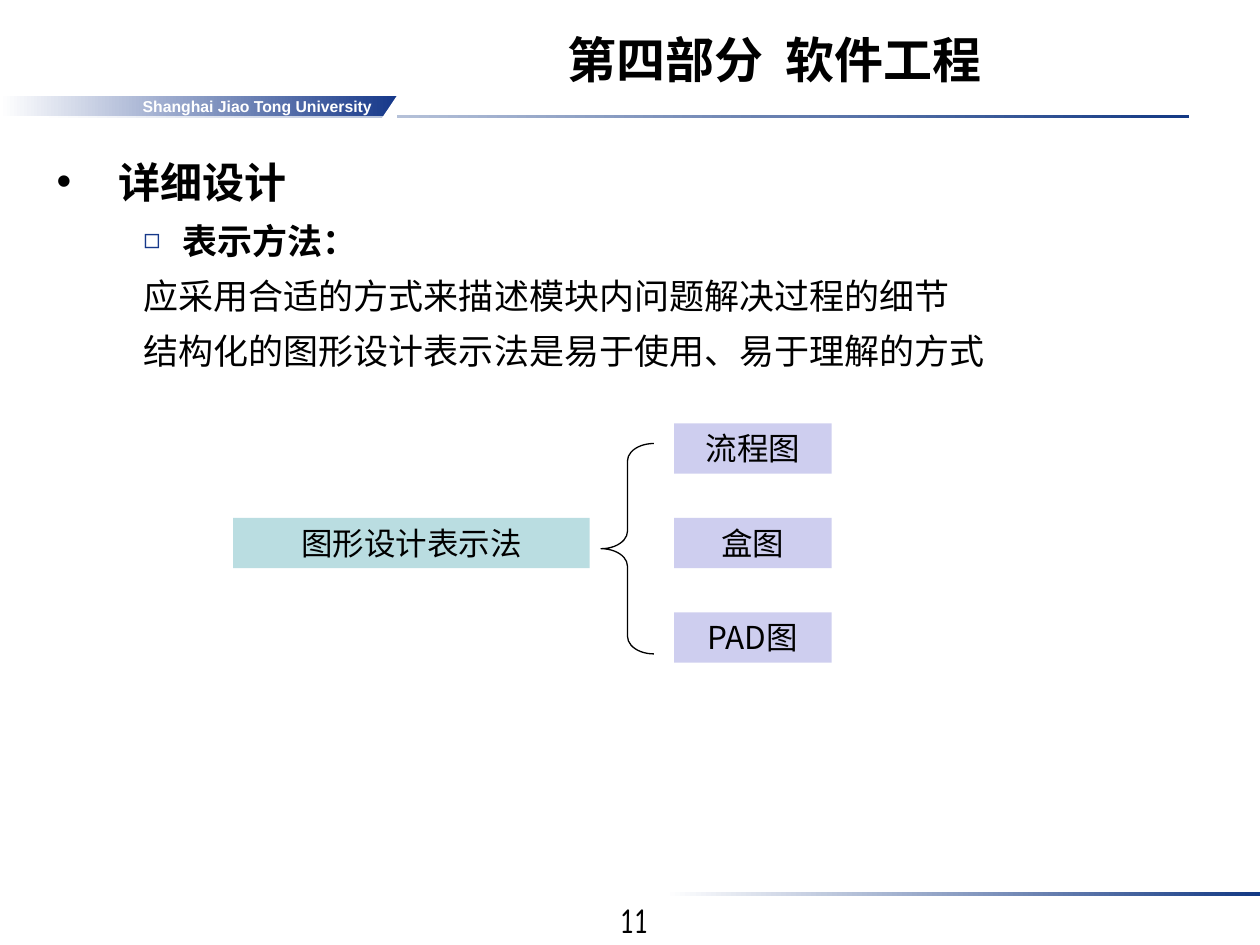
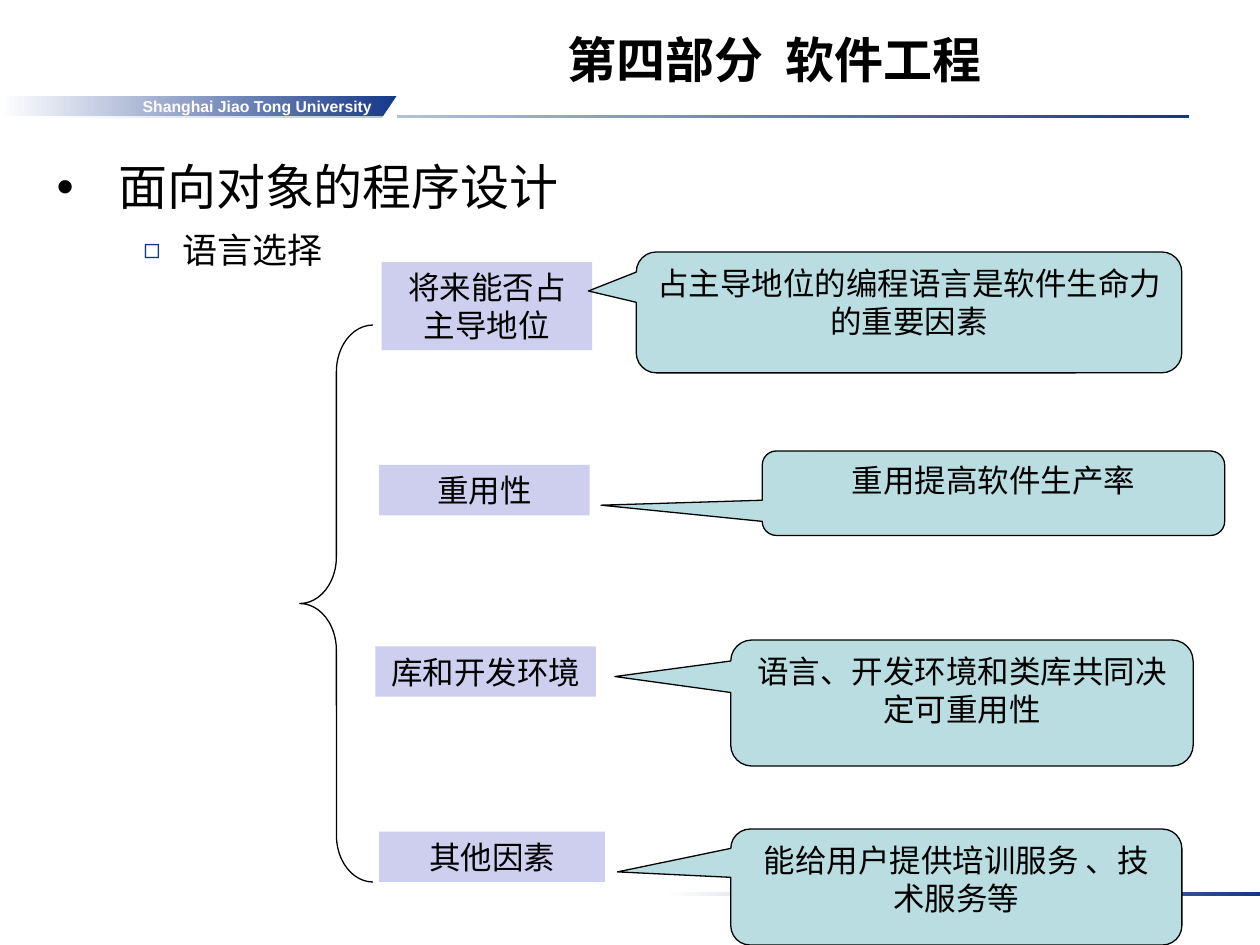
import pptx
import pptx.util
import pptx.dml.color
import pptx.enum.shapes
import pptx.enum.text
import pptx.oxml
import pptx.oxml.ns
from dataclasses import dataclass

SHAPE = pptx.enum.shapes.MSO_SHAPE
ALIGN = pptx.enum.text.PP_ALIGN
ANCHOR = pptx.enum.text.MSO_ANCHOR
Pt = pptx.util.Pt


@dataclass(frozen=True)
class Theme:
    cjk: str = "Noto Sans CJK SC"
    latin: str = "Arial"
    number: str = "Comic Neue"
    ink: str = "000000"
    paper: str = "FFFFFF"
    rule: str = "133984"
    band: str = "16388A"
    teal: str = "BADDE1"
    lilac: str = "CECEEF"
    title_size: int = 28
    body_size: int = 20
    label_size: int = 18
    band_size: int = 9
    line: float = 0.75


T = Theme()
COLUMNS, ROWS = 10, 7.5

TITLE = "第四部分  软件工程"
SCHOOL = "Shanghai Jiao Tong University"
TITLE_BOX = (2.59, 0, 7.11, 0.75)
BODY_BOX = (0.35, 1.15, 9.25, 5.7)
NUMBER_BOX = (3.87, 7.08, 2.33, 0.29)
RULES = [(0.31, 0.91, 9.13, 0.03), (5.28, 7.08, 4.72, 0.03)]
BAND = (0, 0.76, 3.15, 0.16)
BAND_NOTCH = (3.03, 0.76, 0.12, 0.18)

LEVELS = {
    "topic": dict(margin=0.49, indent=-0.49, bullet="•", color=T.ink, scale=100),
    "point": dict(margin=1, indent=-0.31, bullet="◻", color=T.band, scale=80),
    "plain": dict(margin=1, indent=-0.31, bullet=None),
}

DESIGN_BODY = [
    ("topic", "详细设计", 24, True, 6, T.latin),
    ("point", "表示方法：", T.body_size, True, 5, T.cjk),
    ("plain", "应采用合适的方式来描述模块内问题解决过程的细节", T.body_size, False, 5, T.cjk),
    ("plain", "结构化的图形设计表示法是易于使用、易于理解的方式", T.body_size, False, 5, T.cjk),
]
METHOD = ("图形设计表示法", (1.85, 4.11, 2.83, 0.4))
DIAGRAMS = ["流程图", "盒图", "PAD图"]
DIAGRAM_FIRST, DIAGRAM_STEP = (5.35, 3.36, 1.25, 0.4), 0.75
METHOD_BRACE = ((4.77, 3.52, 0.42, 1.67), 0.33)

LANGUAGE_BODY = [
    ("topic", "面向对象的程序设计", 28, False, 7, T.cjk),
    ("point", "语言选择", T.body_size, False, 5, T.cjk),
]
FACTORS = [
    ("将来能否占主导地位", (3.03, 2.08, 1.67, 0.7),
     "占主导地位的编程语言是软件生命力的重要因素", (5.05, 2, 4.33, 0.96), (4.67, 2.31)),
    ("重用性", (3.01, 3.69, 1.67, 0.4),
     "重用提高软件生产率", (6.05, 3.58, 3.67, 0.67), (4.77, 4.01)),
    ("库和开发环境", (2.98, 5.13, 1.75, 0.4),
     "语言、开发环境和类库共同决定可重用性", (5.8, 5.08, 3.67, 1), (4.88, 5.37)),
    ("其他因素", (3.01, 6.6, 1.79, 0.4),
     "能给用户提供培训服务 、技术服务等", (5.8, 6.58, 3.58, 0.92), (4.9, 6.92)),
]
FACTOR_BRACE = ((2.38, 2.58, 0.58, 4.42), 0.64)

prs = pptx.Presentation()
prs.slide_width = pptx.util.Inches(10)
prs.slide_height = pptx.util.Inches(7.5)


def place(box):
    col, row = prs.slide_width / COLUMNS, prs.slide_height / ROWS
    left, top, width, height = box
    return [round(v) for v in (left * col, top * row, width * col, height * row)]


def rgb(color):
    return pptx.dml.color.RGBColor.from_string(color)


def add_element(parent, tag, **attrs):
    el = pptx.oxml.parse_xml(f"<a:{tag} {pptx.oxml.ns.nsdecls('a')}/>")
    for name, value in attrs.items():
        el.set(name, str(value))
    parent.append(el)
    return el


def set_font(p, size, name=T.cjk, color=T.ink, bold=False):
    f = p.font
    f.size, f.name, f.bold = Pt(size), name, bold
    f.color.rgb = rgb(color)
    latin = p._p.pPr.find(".//" + pptx.oxml.ns.qn("a:latin"))
    latin.addnext(add_element(latin.getparent(), "ea", typeface=T.cjk))


def write(sp, text, size, align=ALIGN.CENTER, anchor=ANCHOR.TOP, **font):
    tf = sp.text_frame
    tf.word_wrap, tf.vertical_anchor = True, anchor
    p = tf.paragraphs[0]
    p.text, p.alignment = text, align
    set_font(p, size, **font)


def add_shape(s, kind, box, fill=None, line=None):
    sp = s.shapes.add_shape(kind, *place(box))
    sp.shadow.inherit = False
    if fill:
        sp.fill.solid()
        sp.fill.fore_color.rgb = rgb(fill)
    else:
        sp.fill.background()
    if line:
        sp.line.color.rgb = rgb(line)
        sp.line.width = Pt(T.line)
    else:
        sp.line.fill.background()
    return sp


def add_fade(s, box, color):
    sp = add_shape(s, SHAPE.RECTANGLE, box)
    sp.fill.gradient()
    sp.fill.gradient_angle = 0
    for stop, c in zip(sp.fill.gradient_stops, (T.paper, color)):
        stop.color.rgb = rgb(c)
    return sp


def add_label(s, text, box, fill=T.lilac):
    write(add_shape(s, SHAPE.RECTANGLE, box, fill), text, T.label_size)


def add_brace(s, box, curve):
    sp = add_shape(s, SHAPE.LEFT_BRACE, box, line=T.ink)
    sp.adjustments[0] = curve


def add_callout(s, text, box, tip):
    sp = add_shape(s, SHAPE.ROUNDED_RECTANGULAR_CALLOUT, box, T.teal, T.ink)
    left, top, width, height = box
    sp.adjustments[0] = (tip[0] - left) / width - 0.5
    sp.adjustments[1] = (tip[1] - top) / height - 0.5
    write(sp, text, T.label_size)


def add_body(s, lines):
    tf = s.shapes.add_textbox(*place(BODY_BOX)).text_frame
    tf.word_wrap = True
    for i, (level, text, size, bold, before, name) in enumerate(lines):
        p = tf.add_paragraph() if i else tf.paragraphs[0]
        p.text, p.line_spacing = text, 1.1
        if i:
            p.space_before = Pt(before)
        style = LEVELS[level]
        pPr = p._p.get_or_add_pPr()
        pPr.set("marL", str(pptx.util.Inches(style["margin"])))
        pPr.set("indent", str(pptx.util.Inches(style["indent"])))
        if style["bullet"]:
            add_element(add_element(pPr, "buClr"), "srgbClr", val=style["color"])
            add_element(pPr, "buSzPct", val=style["scale"] * 1000)
            add_element(pPr, "buFont", typeface=T.latin)
            add_element(pPr, "buChar", char=style["bullet"])
        else:
            add_element(pPr, "buNone")
        set_font(p, size, name, bold=bold)


def add_slide(lines):
    s = prs.slides.add_slide(prs.slide_layouts[6])
    for rule in RULES:
        add_fade(s, rule, T.rule)
    band = add_fade(s, BAND, T.band)
    band.text_frame.margin_right = pptx.util.Inches(0.2)
    write(band, SCHOOL, T.band_size, ALIGN.RIGHT, ANCHOR.MIDDLE,
          name=T.latin, color=T.paper, bold=True)
    notch = add_shape(s, SHAPE.RIGHT_TRIANGLE, BAND_NOTCH, T.paper)
    notch._element.spPr.xfrm.set("flipH", "1")
    write(s.shapes.add_textbox(*place(TITLE_BOX)), TITLE, T.title_size,
          anchor=ANCHOR.BOTTOM, name=T.latin, bold=True)
    add_body(s, lines)
    return s


def build_design():
    s = add_slide(DESIGN_BODY)
    write(s.shapes.add_textbox(*place(NUMBER_BOX)), "11", T.body_size, name=T.number)
    add_label(s, *METHOD, fill=T.teal)
    left, top, width, height = DIAGRAM_FIRST
    for i, name in enumerate(DIAGRAMS):
        add_label(s, name, (left, top + i * DIAGRAM_STEP, width, height))
    add_brace(s, *METHOD_BRACE)


def build_language():
    s = add_slide(LANGUAGE_BODY)
    add_brace(s, *FACTOR_BRACE)
    for factor, box, reason, callout, tip in FACTORS:
        add_label(s, factor, box)
        add_callout(s, reason, callout, tip)


def main():
    build_design()
    build_language()
    prs.save("out.pptx")


if __name__ == "__main__":
    main()
